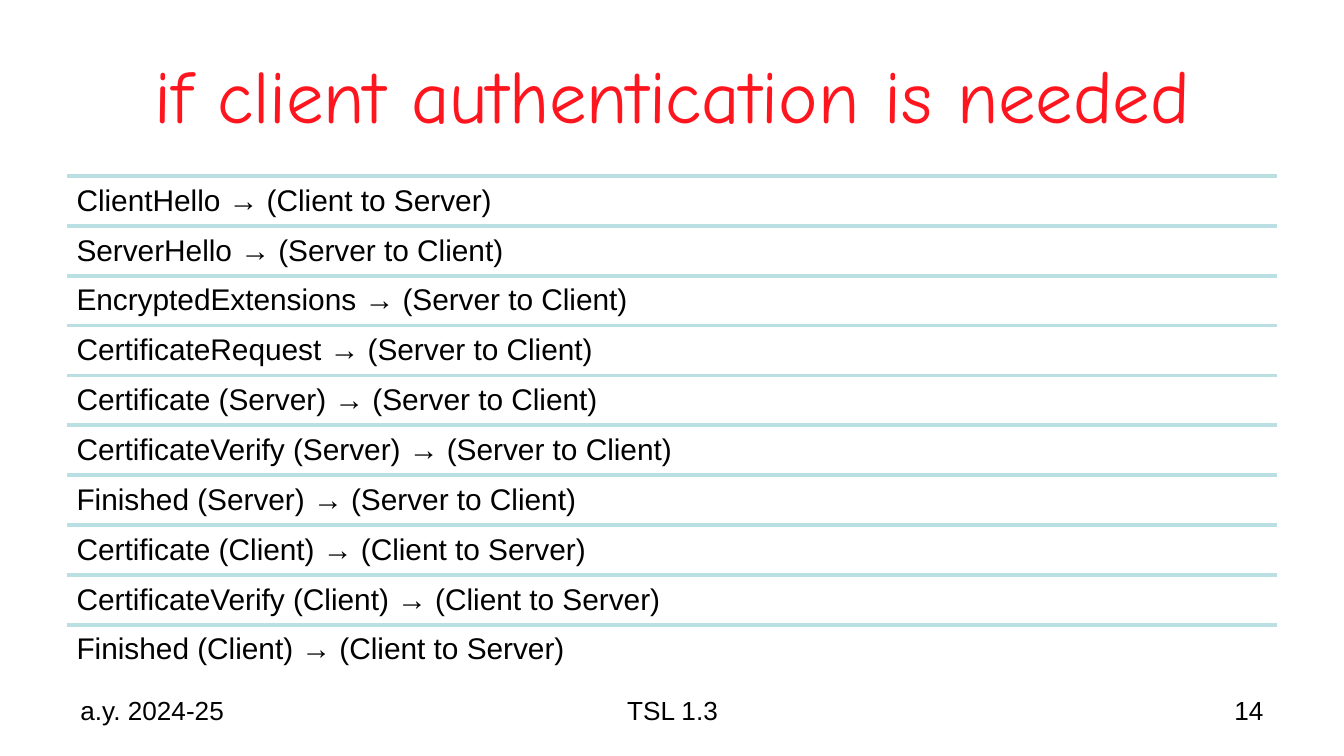
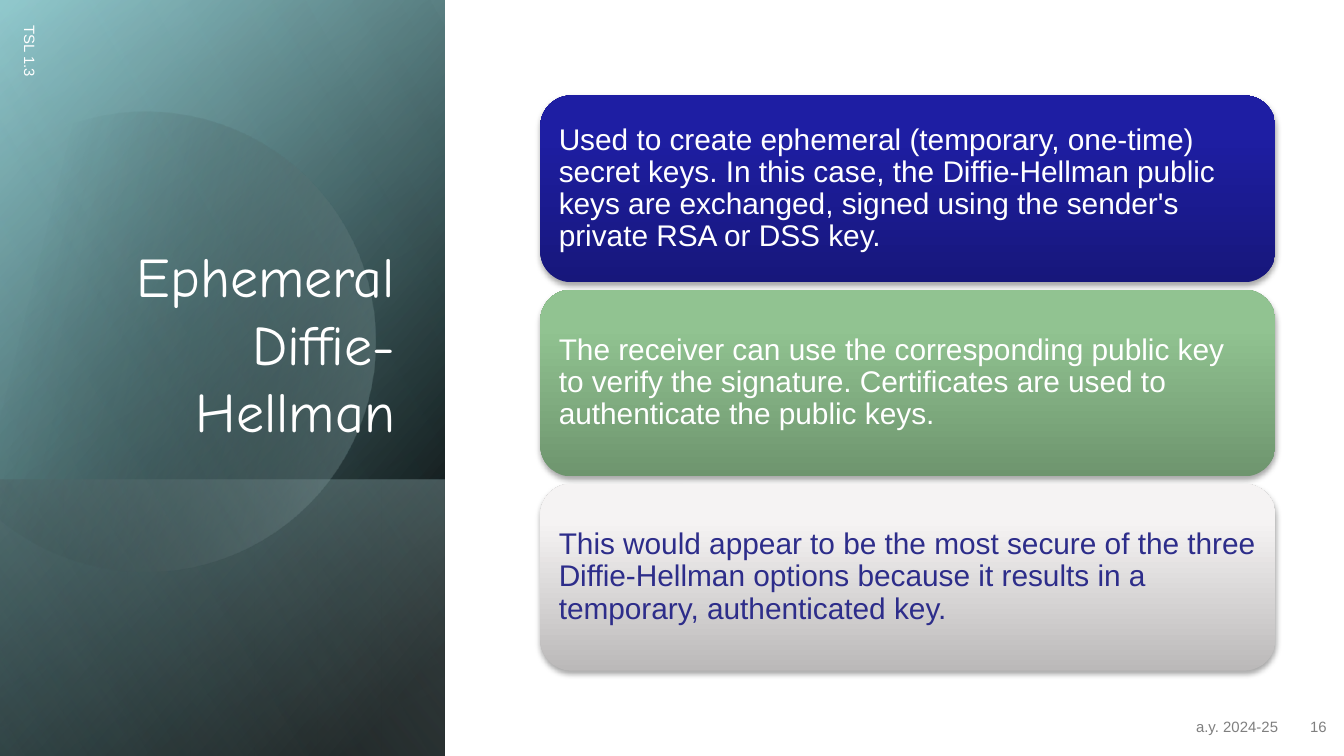
from math import cos, sin, radians

from pptx import Presentation
from pptx import util as u
from pptx.dml.color import RGBColor
from pptx.enum import shapes, text
from pptx.oxml import parse_xml
from pptx.oxml.ns import nsdecls, qn

# ---- Content ----
CLIENT, SERVER = "(Client to Server)", "(Server to Client)"
HANDSHAKE = [
    ("ClientHello", CLIENT),
    ("ServerHello", SERVER),
    ("EncryptedExtensions", SERVER),
    ("CertificateRequest", SERVER),
    ("Certificate (Server)", SERVER),
    ("CertificateVerify (Server)", SERVER),
    ("Finished (Server)", SERVER),
    ("Certificate (Client)", CLIENT),
    ("CertificateVerify (Client)", CLIENT),
    ("Finished (Client)", CLIENT),
]
# text, text colour, gradient stops (position, colour)
CARDS = [
    ("Used to create ephemeral (temporary, one-time) secret keys. In this case, "
     "the Diffie-Hellman public keys are exchanged, signed using the sender's "
     "private RSA or DSS key.",
     "FFFFFF", [(0, "17177B"), (80, "1E1EA3"), (100, "1C1CA5")]),
    ("The receiver can use the corresponding public key to verify the signature. "
     "Certificates are used to authenticate the public keys.",
     "FFFFFF", [(0, "6E956E"), (80, "91C391"), (100, "91C591")]),
    ("This would appear to be the most secure of the three Diffie-Hellman options "
     "because it results in a temporary, authenticated key.",
     "2D2D8A", [(0, "BBB9B9"), (80, "F5F3F3"), (100, "F6F4F4")]),
]
YEAR, COURSE = "a.y. 2024-25", "TSL 1.3"

# ---- Shared style ----
WIDTH = 10
HEIGHT = WIDTH * 9 / 16
BODY_FONT, TITLE_FONT = "Arial", "Comic Neue"
BLACK, WHITE, RED, GREY, AQUA = "000000", "FFFFFF", "FF151E", "7F7F7F", "BBE0E3"
LEFT, CENTER, RIGHT = text.PP_ALIGN.LEFT, text.PP_ALIGN.CENTER, text.PP_ALIGN.RIGHT
TOP, MIDDLE, BOTTOM = (text.MSO_ANCHOR.TOP, text.MSO_ANCHOR.MIDDLE,
                       text.MSO_ANCHOR.BOTTOM)

# Side panel: width, where its floor starts, and its layers
PANEL_W, FLOOR_TOP = 3.31, 3.57
FULL_PANEL = (0, 0, PANEL_W, HEIGHT)
PANEL_BASE = [
    (FULL_PANEL, [(0, BLACK), (8, BLACK), (100, "71BEC4")], 50),
    (FULL_PANEL, [(0, BLACK, 0), (99, AQUA, 46), (100, AQUA, 46)], 30),
    ((0, FLOOR_TOP, PANEL_W, HEIGHT - FLOOR_TOP),
     [(0, AQUA, 29), (2, AQUA, 29), (100, BLACK, 30)], 130),
]
PANEL_SHEEN = (FULL_PANEL,
               [(0, BLACK, 0), (99, "D5ECED", 11), (100, "D5ECED", 11)], 120)
DISC_STOPS = [(0, BLACK, 0), (29, BLACK, 0), (100, AQUA, 43)]


def color(value):
    return RGBColor.from_string(value)


def inches(*lengths):
    return [u.Inches(length) for length in lengths]


def turned(left, top, width, height):
    """Frame that covers the given area after a quarter turn."""
    shift = (width - height) / 2
    return left + shift, top - shift, height, width


def write(box, words, size, ink, align=LEFT, anchor=TOP, font=BODY_FONT,
          insets=(0.1, 0.05), spacing=None):
    frame = box.text_frame
    frame.word_wrap = True
    frame.auto_size = text.MSO_AUTO_SIZE.NONE
    frame.vertical_anchor = anchor
    frame.margin_left = frame.margin_right = u.Inches(insets[0])
    frame.margin_top = frame.margin_bottom = u.Inches(insets[1])
    para = frame.paragraphs[0]
    para.text = words
    para.alignment = align
    para.line_spacing = spacing
    para.font.size = u.Pt(size)
    para.font.name = font
    para.font.color.rgb = color(ink)


def add_text(page, area, words, size, ink, **style):
    box = page.shapes.add_textbox(*inches(*area))
    write(box, words, size, ink, **style)
    return box


def set_title(page, area, words, size, ink, **style):
    title = page.shapes.title
    title.left, title.top, title.width, title.height = inches(*area)
    write(title, words, size, ink, font=TITLE_FONT, **style)
    page.shapes._spTree.append(title._element)  # bring to front


def paint(shape, stops, angle):
    """Gradient fill without outline or shadow; stops may carry an opacity."""
    marks = ""
    for position, value, *opacity in stops:
        alpha = f'<a:alpha val="{opacity[0] * 1000}"/>' if opacity else ""
        marks += (f'<a:gs pos="{position * 1000}">'
                  f'<a:srgbClr val="{value}">{alpha}</a:srgbClr></a:gs>')
    gradient = parse_xml(
        f'<a:gradFill {nsdecls("a")} rotWithShape="1"><a:gsLst>{marks}</a:gsLst>'
        f'<a:lin ang="{angle * 60000}" scaled="0"/></a:gradFill>')
    shape.fill.gradient()
    props = shape._element.spPr
    props.replace(props.find(qn("a:gradFill")), gradient)
    shape.line.fill.background()
    shape.shadow.inherit = False


def drop_shadow(shape):
    effects = shape._element.spPr.find(qn("a:effectLst"))
    effects.append(parse_xml(
        f'<a:outerShdw {nsdecls("a")} blurRad="{u.Pt(3.1)}" dist="{u.Pt(1.8)}" '
        'dir="5400000" rotWithShape="0"><a:srgbClr val="000000">'
        '<a:alpha val="35000"/></a:srgbClr></a:outerShdw>'))


def add_rule(page, left, top, width):
    rule = page.shapes.add_connector(
        shapes.MSO_CONNECTOR.STRAIGHT, *inches(left, top, left + width, top))
    rule.line.color.rgb = color(AQUA)
    rule.line.width = u.Pt(2)
    rule._element.spPr.append(parse_xml(f'<a:effectLst {nsdecls("a")}/>'))


def add_layer(page, area, stops, angle):
    layer = page.shapes.add_shape(shapes.MSO_SHAPE.RECTANGLE,
                                  *inches(*turned(*area)))
    layer.rotation = 90
    layer._element.spPr.xfrm.set("flipH", "1")
    paint(layer, stops, angle)


def add_disc(page):
    """Circle cut by a chord, tilted so that the chord stands upright."""
    center_x, center_y, radius, tilt, half_arc, steps = 1.08, 2.51, 1.71, 16.1, 134, 72
    points = []
    for step in range(steps + 1):
        angle = radians(tilt - half_arc + 2 * half_arc * step / steps)
        points.append(inches(center_x + radius * cos(angle),
                             center_y + radius * sin(angle)))
    outline = page.shapes.build_freeform(*points[0])
    outline.add_line_segments(points[1:], close=True)
    disc = outline.convert_to_shape()
    disc.rotation = -tilt
    paint(disc, DISC_STOPS, 30)


def build_handshake(page):
    set_title(page, (0.5, 0.23, 9, 0.94), "if client authentication is needed",
              40, RED, align=CENTER, anchor=MIDDLE)
    # Footer
    for left, width, words, align in [(0.5, 2.33, YEAR, LEFT),
                                      (3.42, 3.17, COURSE, CENTER),
                                      (7.17, 2.33, "14", RIGHT)]:
        add_text(page, (left, 5.12, width, 0.39), words, 14, BLACK, align=align)
    # Ruled list of messages
    left, top, width, list_height = 0.5, 1.31, 9, 3.71
    pitch = list_height / len(HANDSHAKE)
    for row, (message, direction) in enumerate(HANDSHAKE):
        y = top + row * pitch
        add_rule(page, left, y, width)
        add_text(page, (left, y, width, pitch), f"{message} → {direction}",
                 16, BLACK, insets=(0.07, 0.07), spacing=0.9)


def build_ephemeral(page):
    # Side panel
    for layer in PANEL_BASE:
        add_layer(page, *layer)
    add_disc(page)
    add_layer(page, *PANEL_SHEEN)
    set_title(page, (0.48, 1.38, 2.56, 1.97), "Ephemeral Diffie-Hellman",
              30, WHITE, align=RIGHT, anchor=BOTTOM)
    # Footer
    course = add_text(page, turned(0.04, 0.09, 0.3, 3.38), COURSE, 8, WHITE)
    course.rotation = 90
    for left, width, words in [(7.36, 2.25, YEAR), (9.6, 0.37, "16")]:
        add_text(page, (left, 5.29, width, 0.3), words, 8, GREY, align=RIGHT)
    # Cards, spread evenly from the top of the stack to its bottom
    left, top, width, height, bottom = 4.02, 0.71, 5.47, 1.39, 4.99
    pitch = (bottom - top - height) / (len(CARDS) - 1)
    for row, (words, ink, stops) in enumerate(CARDS):
        area = (left, top + row * pitch, width, height)
        card = page.shapes.add_shape(shapes.MSO_SHAPE.ROUNDED_RECTANGLE,
                                     *inches(*area))
        card.adjustments[0] = 0.167
        paint(card, stops, 270)
        drop_shadow(card)
        write(card, words, 16, ink, anchor=MIDDLE, insets=(0.07, 0.07), spacing=0.9)


def main():
    deck = Presentation()
    deck.slide_width, deck.slide_height = inches(WIDTH, HEIGHT)
    title_only = deck.slide_layouts[5]
    for build in (build_handshake, build_ephemeral):
        build(deck.slides.add_slide(title_only))
    deck.save("out.pptx")


if __name__ == "__main__":
    main()
